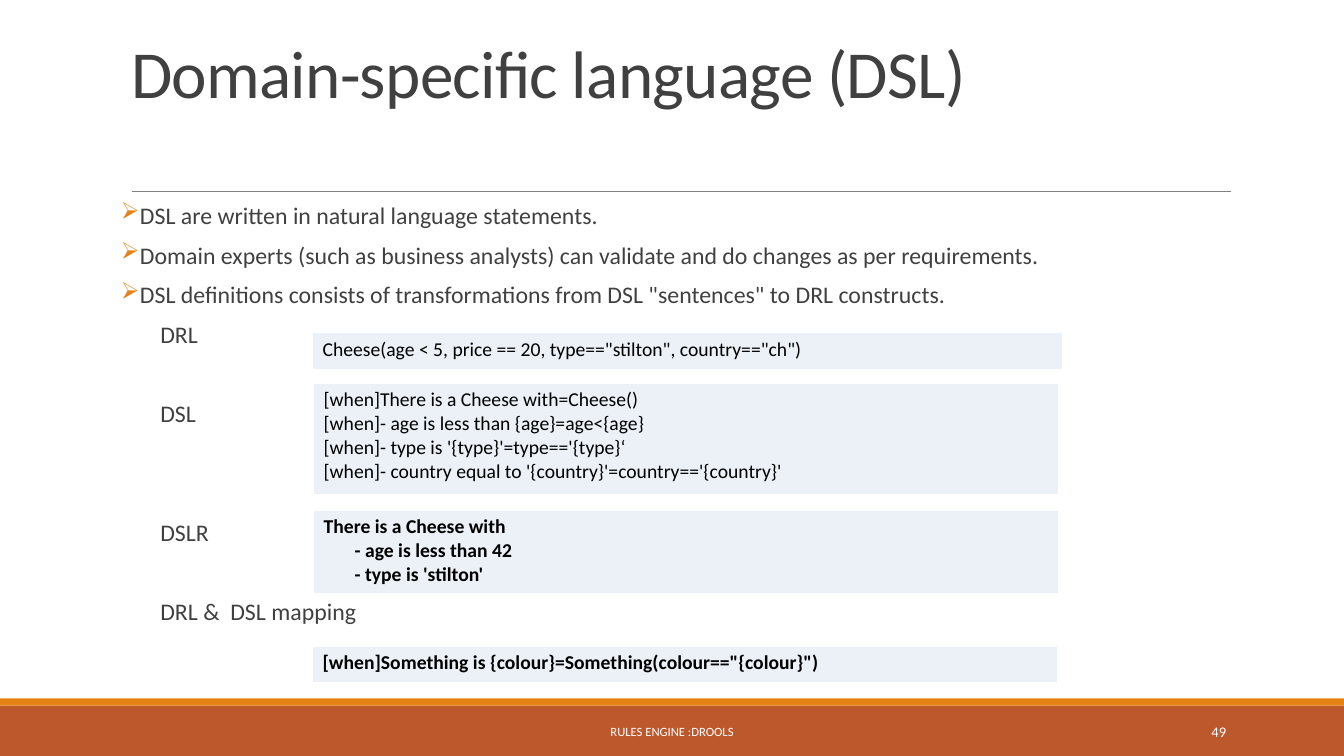
"""Build the slide on domain-specific language with its code panels."""
from dataclasses import dataclass

from lxml import etree
from pptx import Presentation, util as u
from pptx.dml.color import RGBColor
from pptx.enum import shapes, text
from pptx.oxml import ns
from pptx.slide import Slide
from pptx.text.text import TextFrame

RUST = RGBColor(0xBD, 0x58, 0x2C)
ORANGE = RGBColor(0xE4, 0x83, 0x12)
GREY = RGBColor(0x80, 0x80, 0x80)
DARK = RGBColor(0x40, 0x40, 0x40)
PALE = RGBColor(0xEB, 0xF1, 0xF7)
WHITE = RGBColor(0xFF, 0xFF, 0xFF)
BLACK = RGBColor(0, 0, 0)
FONT = "Calibri"
PITCH = 28.3
LEFT, MIDDLE, RIGHT = text.PP_ALIGN.LEFT, text.PP_ALIGN.CENTER, text.PP_ALIGN.RIGHT


@dataclass
class Box:
    left: float
    top: float
    width: float
    height: float

    def inches(self) -> tuple[u.Inches, ...]:
        return tuple(u.Inches(n) for n in (self.left, self.top, self.width, self.height))


@dataclass
class Panel:
    box: Box
    lines: list[str]
    bold: bool = False


@dataclass
class Point:
    words: str
    bullet: bool = True
    skip: int = 0


@dataclass
class Note:
    box: Box
    words: str
    size: float
    align: text.PP_ALIGN


BANDS = [(Box(0, 7, 13.33, 0.5), RUST), (Box(0, 6.93, 13.33, 0.07), ORANGE)]
POINTS = [
    Point("DSL are written in natural language statements."),
    Point("Domain experts (such as business analysts) can validate and do changes as per requirements."),
    Point('DSL definitions consists of transformations from DSL "sentences" to DRL constructs.'),
    Point("DRL", False),
    Point("DSL", False, 1),
    Point("DSLR", False, 2),
    Point("DRL &  DSL mapping", False, 1),
]
PANELS = [
    Panel(Box(3.1, 3.3, 7.44, 0.38),
          ['Cheese(age < 5, price == 20, type=="stilton", country=="ch")']),
    Panel(Box(3.11, 3.8, 7.39, 1.12), [
        "[when]There is a Cheese with=Cheese()",
        "[when]- age is less than {age}=age<{age}",
        "[when]- type is '{type}'=type=='{type}‘",
        "[when]- country equal to '{country}'=country=='{country}'"]),
    Panel(Box(3.11, 5.06, 7.39, 0.84), [
        "There is a Cheese with",
        "       - age is less than 42",
        "       - type is 'stilton'"], True),
    Panel(Box(3.1, 6.41, 7.39, 0.37),
          ['[when]Something is {colour}=Something(colour=="{colour}")'], True),
]
NOTES = [
    Note(Box(4.03, 7.06, 5.27, 0.4), "RULES ENGINE :DROOLS", 9, MIDDLE),
    Note(Box(10.83, 7.06, 1.43, 0.4), "49", 10.5, RIGHT),
]


def style(frame: TextFrame, size: float, ink: RGBColor, bold: bool = False) -> None:
    for para in frame.paragraphs:
        for run in para.runs:
            run.font.name = FONT
            run.font.size = u.Pt(size)
            run.font.bold = bold
            run.font.color.rgb = ink


def add_band(slide: Slide, box: Box, ink: RGBColor) -> None:
    band = slide.shapes.add_shape(shapes.MSO_SHAPE.RECTANGLE, *box.inches())
    band.shadow.inherit = False
    band.fill.solid()
    band.fill.fore_color.rgb = ink
    band.line.fill.background()


def add_rule(slide: Slide) -> None:
    rule = slide.shapes.add_connector(
        shapes.MSO_CONNECTOR.STRAIGHT,
        u.Inches(1.31), u.Inches(1.9), u.Inches(12.21), u.Inches(1.9))
    rule.line.color.rgb = GREY
    rule.line.width = u.Pt(0.5)
    etree.SubElement(rule.element.spPr, ns.qn("a:effectLst"))


def set_title(slide: Slide) -> None:
    title = slide.shapes.title
    title.left, title.top, title.width, title.height = Box(1.2, 0.31, 11, 0.85).inches()
    frame = title.text_frame
    frame.text = "Domain-specific language (DSL)"
    frame.auto_size = text.MSO_AUTO_SIZE.NONE
    frame.vertical_anchor = text.MSO_ANCHOR.BOTTOM
    para = frame.paragraphs[0]
    para.alignment = LEFT
    para.line_spacing = 0.85
    style(frame, 48, DARK)
    para.runs[0].font._element.set("spc", "-50")


def add_points(slide: Slide) -> None:
    frame = slide.shapes.add_textbox(*Box(1.2, 2.02, 11, 4.4).inches()).text_frame
    frame.word_wrap = True
    frame.margin_left = frame.margin_right = 0
    for rank, point in enumerate(POINTS):
        para = frame.add_paragraph() if rank else frame.paragraphs[0]
        para.text = point.words
        props = para._p.get_or_add_pPr()
        props.set("marL", str(u.Inches(0.1 if point.bullet else 0.39)))
        if point.bullet:
            props.set("indent", str(u.Inches(-0.1)))
            tint = etree.SubElement(props, ns.qn("a:buClr"))
            etree.SubElement(tint, ns.qn("a:srgbClr"), val=str(ORANGE))
            etree.SubElement(props, ns.qn("a:buChar"), char="➢")
        para.line_spacing = 0.7
        para.space_before = u.Pt(12 + PITCH * point.skip if rank else 0)
        para.space_after = u.Pt(2)
    style(frame, 17, DARK)


def add_panel(slide: Slide, panel: Panel) -> None:
    table = slide.shapes.add_table(1, 1, *panel.box.inches()).table
    table.first_row = table.horz_banding = False
    cell = table.cell(0, 0)
    cell.text_frame.text = "\n".join(panel.lines)
    style(cell.text_frame, 14, BLACK, panel.bold)
    cell.fill.solid()
    cell.fill.fore_color.rgb = PALE
    props = cell._tc.get_or_add_tcPr()
    for rank, (side, width) in enumerate([("L", 1), ("R", 1), ("T", 1), ("B", 3)]):
        edge = etree.Element(ns.qn("a:ln" + side), w=str(u.Pt(width)))
        fill = etree.SubElement(edge, ns.qn("a:solidFill"))
        etree.SubElement(fill, ns.qn("a:srgbClr"), val=str(WHITE))
        props.insert(rank, edge)


def add_note(slide: Slide, note: Note) -> None:
    frame = slide.shapes.add_textbox(*note.box.inches()).text_frame
    frame.word_wrap = True
    frame.vertical_anchor = text.MSO_ANCHOR.MIDDLE
    frame.text = note.words
    frame.paragraphs[0].alignment = note.align
    style(frame, note.size, WHITE)


def main() -> None:
    deck = Presentation()
    deck.slide_width, deck.slide_height = u.Inches(13.33), u.Inches(7.5)
    slide = deck.slides.add_slide(deck.slide_layouts[5])
    for box, ink in BANDS:
        add_band(slide, box, ink)
    add_rule(slide)
    set_title(slide)
    add_points(slide)
    for note in NOTES:
        add_note(slide, note)
    for panel in PANELS:
        add_panel(slide, panel)
    deck.save("out.pptx")


if __name__ == "__main__":
    main()
